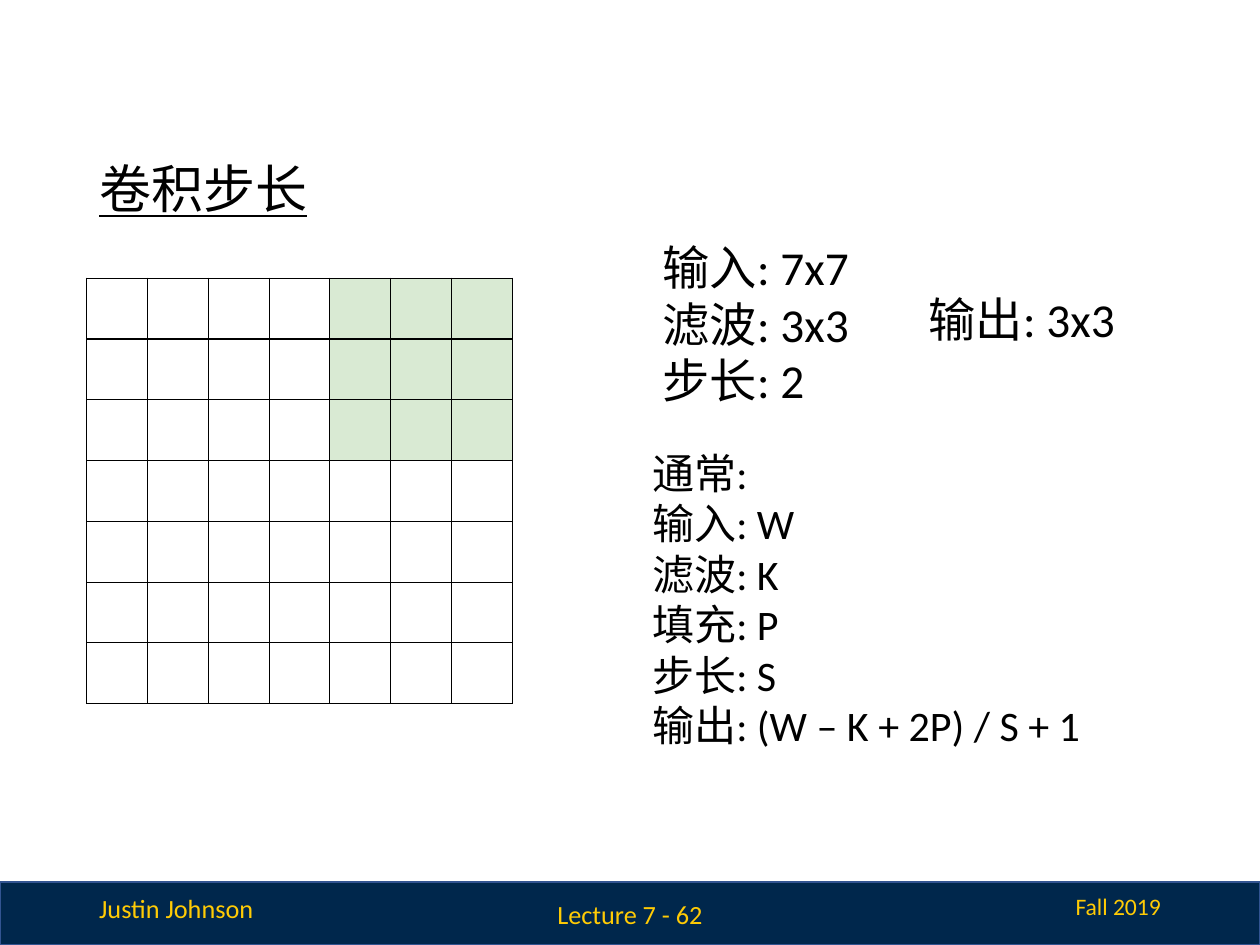
from dataclasses import dataclass

from lxml.etree import SubElement
from pptx import Presentation
from pptx.dml.color import RGBColor
from pptx.enum.shapes import MSO_SHAPE
from pptx.enum.text import MSO_ANCHOR, PP_ALIGN
from pptx.oxml.ns import qn
from pptx.util import Cm, Pt


# Theme
@dataclass(frozen=True)
class Theme:
    font: str = "Calibri"
    black: str = "000000"
    white: str = "FFFFFF"
    green: str = "D9EAD3"
    navy: str = "00274C"
    edge: str = "325491"
    maize: str = "FFCB05"
    title: float = 29.7
    example: float = 27
    formula: float = 24
    footer: float = 15
    term: float = 13.5


T = Theme()


@dataclass(frozen=True)
class Label:
    lines: tuple[str, ...]
    box: tuple[float, float, float, float]  # left, top, width, height in cm
    size: float
    color: str = T.black
    align: PP_ALIGN = PP_ALIGN.LEFT
    anchor: MSO_ANCHOR = MSO_ANCHOR.TOP
    pad: float = 0.13  # top and bottom inset in cm
    spacing: float = 1.0
    underline: bool = False


LABELS = (
    # Footer
    Label(("Justin Johnson",), (1.75, 17.86, 3.66, 0.89), T.footer, T.maize),
    Label(("Fall 2019",), (18.62, 17.86, 5.03, 0.84), T.term, T.maize, PP_ALIGN.RIGHT),
    Label(("Lecture 7 - 62",), (9.27, 17.91, 6.86, 1.02), T.footer, T.maize,
          PP_ALIGN.CENTER, MSO_ANCHOR.MIDDLE),
    # Title
    Label(("卷积步长",), (1.75, 3.15, 16.05, 1.42), T.title,
          anchor=MSO_ANCHOR.MIDDLE, spacing=0.9, underline=True),
    # Worked example
    Label(("输入: 7x7", "滤波: 3x3", "步长: 2"), (13.11, 4.55, 4.9, 3.76),
          T.example, pad=0.25),
    Label(("输出: 3x3",), (18.47, 5.61, 5.54, 1.65), T.example, pad=0.25),
    # General rule
    Label(("通常:", "输入: W", "滤波: K", "填充: P", "步长: S",
           "输出: (W – K + 2P) / S + 1"), (12.9, 8.89, 10.21, 6.4), T.formula),
)

# Input grid, with the filter in the top right corner
GRID, FILTER = 7, 3
CELL = 1.225
GRID_LEFT, GRID_TOP = 1.75, 5.61


def rgb(value: str) -> RGBColor:
    return RGBColor.from_string(value)


def apply(obj, values: dict) -> None:
    for name, value in values.items():
        setattr(obj, name, value)


def draw_label(s, label: Label) -> None:
    tf = s.shapes.add_textbox(*map(Cm, label.box)).text_frame
    apply(tf, {"word_wrap": True, "vertical_anchor": label.anchor,
               "margin_top": Cm(label.pad), "margin_bottom": Cm(label.pad)})
    for i, line in enumerate(label.lines):
        p = tf.add_paragraph() if i else tf.paragraphs[0]
        apply(p, {"alignment": label.align, "line_spacing": label.spacing})
        r = p.add_run()
        r.text = line
        apply(r.font, {"name": T.font, "size": Pt(label.size),
                       "underline": label.underline})
        r.font.color.rgb = rgb(label.color)


def draw_borders(cell, color: str, width: float) -> None:
    tc_pr = cell._tc.get_or_add_tcPr()
    for i, side in enumerate(("a:lnL", "a:lnR", "a:lnT", "a:lnB")):
        ln = tc_pr.makeelement(qn(side), {"w": str(Pt(width))})
        fill = SubElement(ln, qn("a:solidFill"))
        SubElement(fill, qn("a:srgbClr"), val=color)
        tc_pr.insert(i, ln)


def draw_grid(s) -> None:
    side = Cm(CELL * GRID)
    table = s.shapes.add_table(GRID, GRID, Cm(GRID_LEFT), Cm(GRID_TOP), side, side).table
    apply(table, {"first_row": False, "horz_banding": False})
    for i in range(GRID):
        table.columns[i].width = table.rows[i].height = Cm(CELL)
        for j in range(GRID):
            cell = table.cell(i, j)
            covered = i < FILTER and j >= GRID - FILTER
            cell.fill.solid()
            cell.fill.fore_color.rgb = rgb(T.green if covered else T.white)
            draw_borders(cell, T.black, 0.75)


def draw_footer_bar(s) -> None:
    sp = s.shapes.add_shape(MSO_SHAPE.RECTANGLE, 0, Cm(17.78), Cm(25.4), Cm(1.27))
    sp.shadow.inherit = False
    sp.fill.solid()
    sp.fill.fore_color.rgb = rgb(T.navy)
    sp.line.color.rgb = rgb(T.edge)
    sp.line.width = Pt(1)


def main() -> None:
    prs = Presentation()
    apply(prs, {"slide_width": Cm(25.4), "slide_height": Cm(19.05)})
    s = prs.slides.add_slide(prs.slide_layouts[6])
    draw_footer_bar(s)
    draw_grid(s)
    for label in LABELS:
        draw_label(s, label)
    prs.save("out.pptx")


if __name__ == "__main__":
    main()
